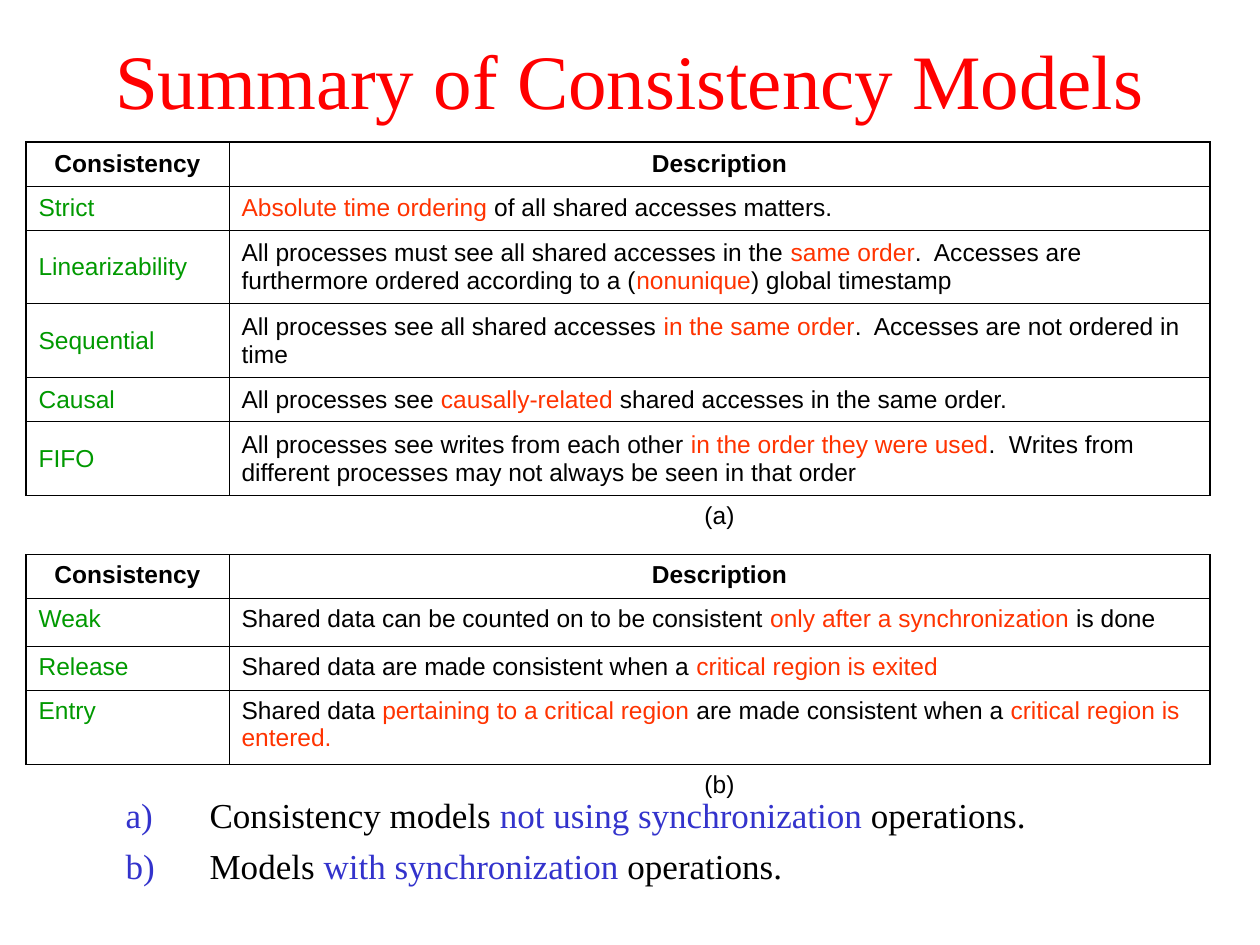
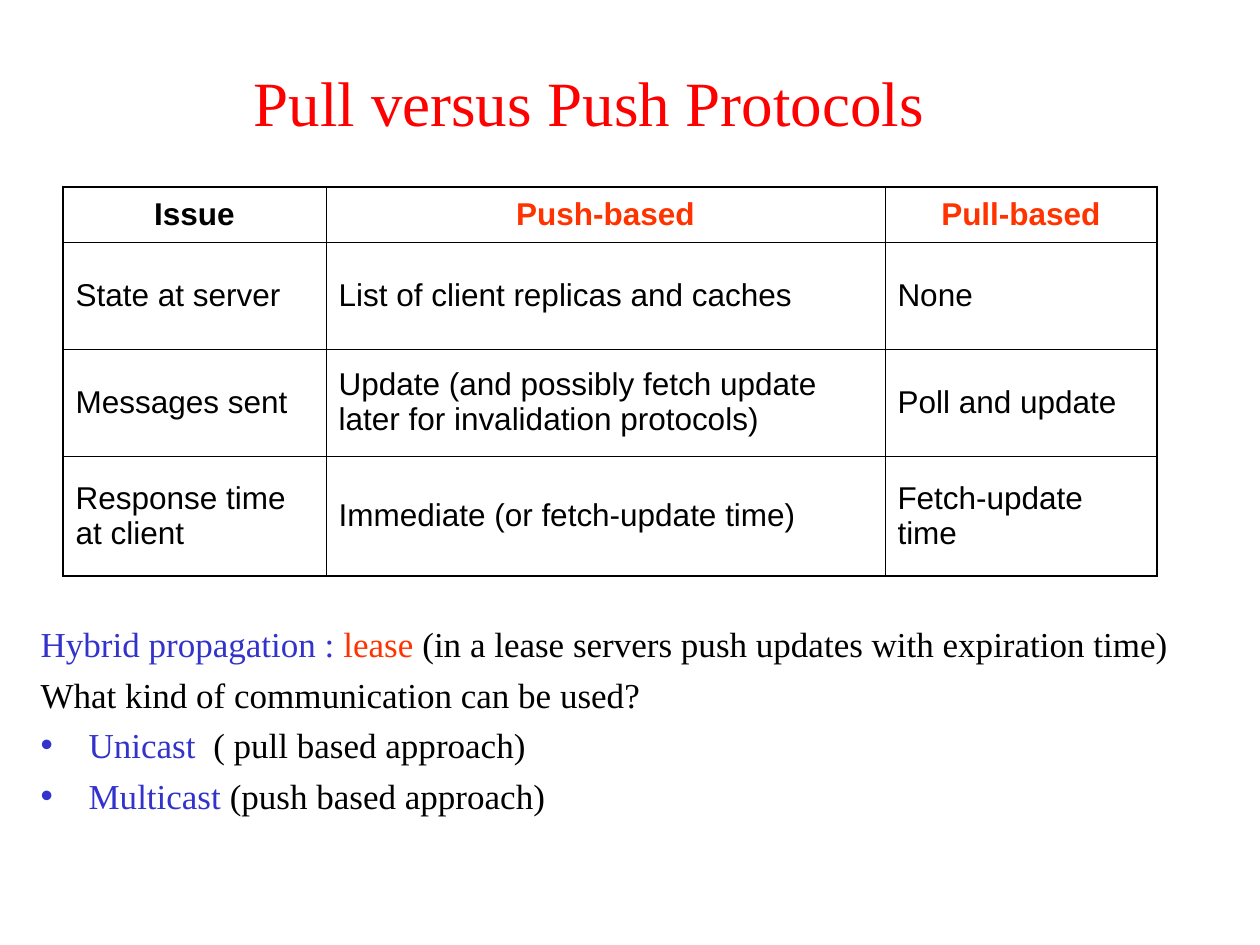
import pptx
import pptx.util
import pptx.dml.color
import pptx.enum.text
import lxml.etree

PX = 7257  # EMU per pixel at 126 pixels to the inch
Pt = pptx.util.Pt
rgb = pptx.dml.color.RGBColor.from_string
ALIGN = pptx.enum.text.PP_ALIGN
ANCHOR = pptx.enum.text.MSO_ANCHOR
NS = "http://schemas.openxmlformats.org/drawingml/2006/main"
NO_STYLE = "{2D5ABB26-0587-4C30-8999-92F81FD0307C}"  # table style without fill or grid
SERIF, SANS = "Times New Roman", "Arial"
BLACK, TITLE_RED, BLUE = "000000", "FF0000", "3333CC"
MARKS = {"~": "FF3300", "^": BLUE, "+": "009900"}
THIN, THICK = 0.45, 1.08


def write(p, text, font, size, before=0, align=None, bold=False):
    """Fill a paragraph; runs are split by | and coloured by a leading mark."""
    p.alignment = align
    p.space_before = Pt(before)
    p.font.name, p.font.size, p.font.bold = font, Pt(size), bold
    for part in text.split("|") if text else []:
        r = p.add_run()
        r.text = part[1:] if part[0] in MARKS else part
        r.font.color.rgb = rgb(MARKS.get(part[0], BLACK))


def draw_table(s, x, y, widths, heights, rows, size, before, headers, top_from, captions):
    """Ruled table; header rows are bold, caption rows have no side borders."""
    frame = s.shapes.add_table(len(rows), len(widths), x * PX, y * PX,
                               sum(widths) * PX, sum(heights) * PX)
    table = frame.table
    table.first_row = table.horz_banding = False
    table._tbl.tblPr.find(f"{{{NS}}}tableStyleId").text = NO_STYLE
    for column, width in zip(table.columns, widths):
        column.width = width * PX
    last_row, last_col = len(rows) - 1, len(widths) - 1
    for i, row in enumerate(rows):
        table.rows[i].height = heights[i] * PX
        for j, text in enumerate(row):
            cell = table.cell(i, j)
            cell.fill.background()
            cell.vertical_anchor = ANCHOR.TOP if i >= top_from else ANCHOR.MIDDLE
            if not text:
                cell.margin_top = cell.margin_bottom = 0
            centred = i in headers or i in captions
            write(cell.text_frame.paragraphs[0], text, SANS, size, before,
                  ALIGN.CENTER if centred else ALIGN.LEFT, i in headers)
            # Borders: thick outside, thin inside, none beside or below a caption
            side = 0 if i in captions else THIN
            edges = {
                "lnL": side and (THICK if j == 0 else THIN),
                "lnR": side and (THICK if j == last_col else THIN),
                "lnT": THICK if i == 0 else THIN,
                "lnB": THIN if i < last_row else side and THICK,
            }
            tcPr = cell._tc.get_or_add_tcPr()
            for k, (tag, width) in enumerate(edges.items()):
                ln = lxml.etree.Element(f"{{{NS}}}{tag}", w=str(int(Pt(width))))
                if width:
                    fill = lxml.etree.SubElement(ln, f"{{{NS}}}solidFill")
                    lxml.etree.SubElement(fill, f"{{{NS}}}srgbClr", val=BLACK)
                else:
                    lxml.etree.SubElement(ln, f"{{{NS}}}noFill")
                tcPr.insert(k, ln)


prs = pptx.Presentation()
prs.slide_width, prs.slide_height = pptx.util.Inches(10), pptx.util.Inches(7.5)

# Titles and lists: (title, box, size), (box, indent, [(bullet, text)])
LETTER = ("buAutoNum", {"type": "alphaLcParenR"})
DOT = ("buChar", {"char": "\u2022"})
PLAIN = ("buNone", {})
pages = [
    (("Summary of Consistency Models", (0, 0, 1260, 158), 44),
     ((113, 787, 1147, 116), 84, [
         (LETTER, "Consistency models |^not using synchronization| operations."),
         (LETTER, "Models |^with synchronization| operations."),
     ])),
    (("Pull versus Push Protocols", (0, 37, 1178, 128), 36),
     ((28, 616, 1231, 297), 48, [
         (PLAIN, "^Hybrid propagation : |~lease |"
                 "(in a lease servers push updates with expiration time)"),
         (PLAIN, "What kind of communication can be used?"),
         (DOT, "^Unicast  |( pull based approach)"),
         (DOT, "^Multicast| (push based approach)"),
     ])),
]
slides = []
for (title, title_box, title_size), (body_box, indent, items) in pages:
    s = prs.slides.add_slide(prs.slide_layouts[1])
    slides.append(s)
    body = s.placeholders[1]
    for sp, box in ((s.shapes.title, title_box), (body, body_box)):
        sp.left, sp.top, sp.width, sp.height = [v * PX for v in box]
        sp.text_frame.word_wrap = True
        sp.text_frame.auto_size = pptx.enum.text.MSO_AUTO_SIZE.NONE

    p = s.shapes.title.text_frame.paragraphs[0]
    write(p, title, SERIF, title_size, align=ALIGN.CENTER)
    p.runs[0].font.color.rgb = rgb(TITLE_RED)

    tf = body.text_frame
    for i, ((tag, attributes), text) in enumerate(items):
        p = tf.add_paragraph() if i else tf.paragraphs[0]
        write(p, text, SERIF, 20, 5)
        pPr = p._p.get_or_add_pPr()
        pPr.set("marL", str(indent * PX))
        pPr.set("indent", str(-indent * PX))
        colour = lxml.etree.Element(f"{{{NS}}}buClr")
        lxml.etree.SubElement(colour, f"{{{NS}}}srgbClr", val=BLUE)
        pPr.insert(1, colour)  # straight after the paragraph spacing
        pPr.insert(2, lxml.etree.Element(f"{{{NS}}}{tag}", attributes))

# Slide 1: consistency models without and with synchronization
models = [
    ("Consistency", "Description"),
    ("+Strict", "~Absolute time ordering| of all shared accesses matters."),
    ("+Linearizability", "All processes must see all shared accesses in the |~same order|"
     ".  Accesses are furthermore ordered according to a (|~nonunique|) global timestamp"),
    ("+Sequential", "All processes see all shared accesses |~in the same order|"
     ".  Accesses are not ordered in time"),
    ("+Causal", "All processes see |~causally-related |shared accesses in the same order."),
    ("+FIFO", "All processes see writes from each other |~in the order they were used|"
     ".  Writes from different processes may not always be seen in that order"),
    ("", "(a)"),
    ("Consistency", "Description"),
    ("+Weak", "Shared data can be counted on to be consistent "
     "|~only after a synchronization| is done"),
    ("+Release", "Shared data are made consistent when a |~critical region is exited"),
    ("+Entry", "Shared data |~pertaining to a critical region|"
     " are made consistent when a |~critical region is entered."),
    ("", "(b)"),
]
draw_table(slides[0], 26, 142, [203, 981],
           [44, 44, 74, 74, 44, 74, 59, 44, 48, 44, 74, 44], models,
           size=14, before=3.5, headers=(0, 7), top_from=6, captions=(6, 11))

# Slide 2: push and pull compared
protocols = [
    ("Issue", "~Push-based", "~Pull-based"),
    ("State at server", "List of client replicas and caches", "None"),
    ("Messages sent", "Update (and possibly fetch update later for invalidation protocols)",
     "Poll and update"),
    ("Response time at client", "Immediate (or fetch-update time)", "Fetch-update time"),
]
draw_table(slides[1], 63, 187, [263, 559, 272], [55, 107, 107, 120], protocols,
           size=18, before=4.5, headers=(0,), top_from=4, captions=())

prs.save("out.pptx")
